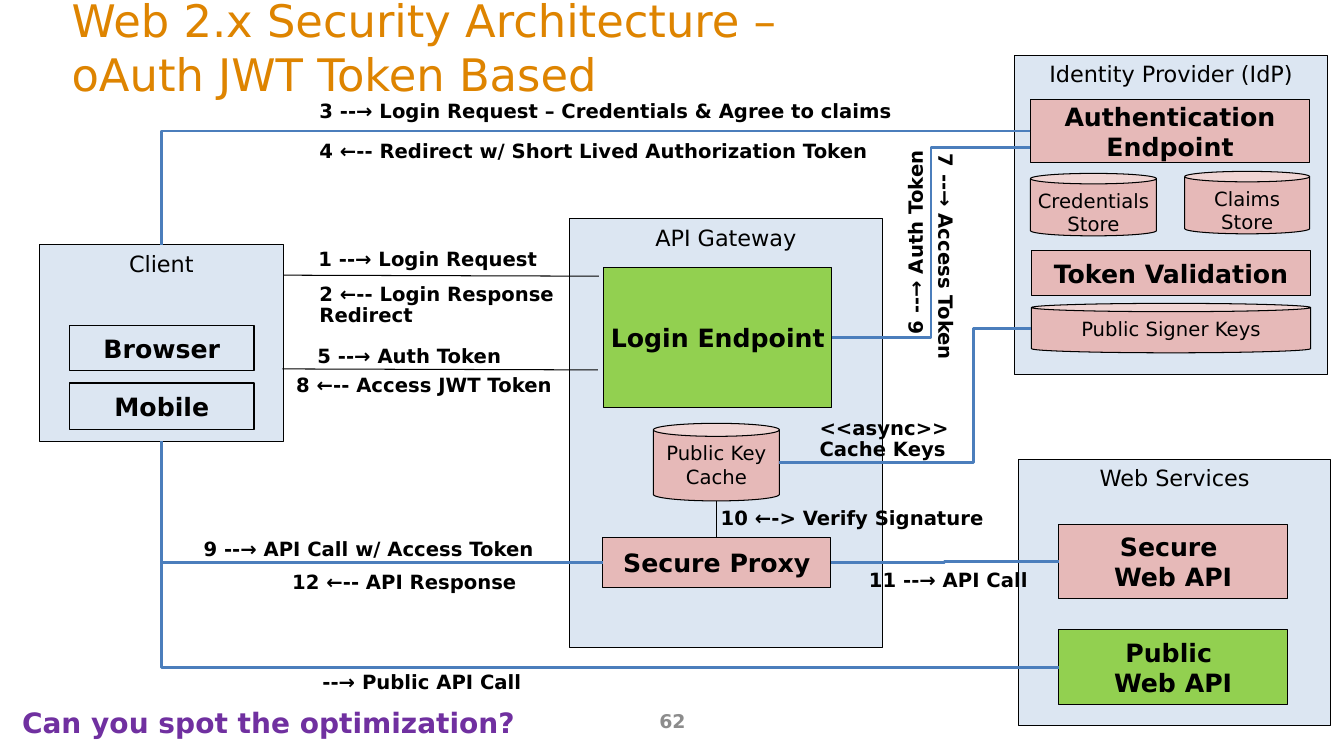
from dataclasses import dataclass

from lxml import etree
from pptx import Presentation
from pptx import util as u
from pptx.dml.color import RGBColor
from pptx.enum import shapes, text
from pptx.oxml import ns

PX = 9144  # 100 px to the inch
FONT = "DejaVu Sans"
BLACK = RGBColor(0x00, 0x00, 0x00)
ORANGE = RGBColor(0xDE, 0x84, 0x00)
PURPLE = RGBColor(0x70, 0x30, 0xA0)
GREY = RGBColor(0x8C, 0x8C, 0x8C)
PALE_BLUE = RGBColor(0xDC, 0xE6, 0xF2)
PINK = RGBColor(0xE6, 0xB9, 0xB8)
GREEN = RGBColor(0x92, 0xD0, 0x50)
LINK_BLUE = RGBColor(0x4B, 0x7E, 0xBC)

RECT = shapes.MSO_SHAPE.RECTANGLE
CAN = shapes.MSO_SHAPE.CAN
TOP, LEFT, BOTTOM, RIGHT = range(4)


@dataclass(frozen=True)
class Kind:
    form: shapes.MSO_SHAPE
    size: int
    bold: bool
    anchor: text.MSO_ANCHOR


ZONE = Kind(RECT, 16, False, text.MSO_ANCHOR.TOP)
PART = Kind(RECT, 18, True, text.MSO_ANCHOR.MIDDLE)
STORE = Kind(CAN, 14, False, text.MSO_ANCHOR.TOP)


@dataclass(frozen=True)
class Node:
    """A box; in wording, \\v breaks a line and \\n starts a paragraph."""
    wording: str
    kind: Kind
    fill: RGBColor
    at: tuple[int, int, int, int]


@dataclass(frozen=True)
class Label:
    wording: str
    at: tuple[int, int, int, int]
    turn: int = 0
    size: float = 14
    color: RGBColor = BLACK
    align: text.PP_ALIGN = text.PP_ALIGN.LEFT
    spacing: float = 0.9
    anchor: text.MSO_ANCHOR = text.MSO_ANCHOR.TOP


@dataclass(frozen=True)
class Link:
    """A connector; begin and end name a node and one of its sides."""
    points: tuple[int, int, int, int]
    preset: str = "line"
    begin: tuple[str, int] | None = None
    end: tuple[str, int] | None = None
    bend: int = 50000


NODES = {
    "gateway": Node("API Gateway", ZONE, PALE_BLUE, (565, 217, 310, 425)),
    "client": Node("Client", ZONE, PALE_BLUE, (39, 243, 242, 195)),
    "services": Node("Web Services", ZONE, PALE_BLUE, (1010, 456, 310, 264)),
    "provider": Node("Identity Provider (IdP)", ZONE, PALE_BLUE,
                     (1006, 55, 311, 317)),
    "browser": Node("Browser", PART, PALE_BLUE, (69, 323, 183, 45)),
    "mobile": Node("Mobile", PART, PALE_BLUE, (69, 380, 183, 46)),
    "login": Node("Login Endpoint", PART, GREEN, (599, 265, 226, 139)),
    "proxy": Node("Secure Proxy", PART, PINK, (598, 533, 226, 50)),
    "secure": Node("Secure \vWeb API", PART, PINK, (1050, 520, 227, 74)),
    "public": Node("Public \vWeb API", PART, GREEN, (1050, 625, 227, 74)),
    "authentication": Node("Authentication\vEndpoint", PART, PINK,
                           (1022, 99, 277, 62)),
    "validation": Node("Token Validation", PART, PINK, (1023, 249, 277, 44)),
    "cache": Node("Public Key\vCache", STORE, PINK, (648, 420, 125, 77)),
    "credentials": Node("Credentials\vStore", STORE, PINK,
                        (1022, 172, 125, 62)),
    "claims": Node("Claims\nStore", STORE, PINK, (1175, 170, 124, 62)),
    "keys": Node("Public Signer Keys", STORE, PINK, (1023, 301, 277, 49)),
}

LINKS = [
    Link((281, 273, 594, 274)),
    Link((280, 366, 593, 367)),
    Link((711, 533, 711, 497), begin=("proxy", TOP)),
    Link((1050, 662, 160, 438), "bentConnector2",
         ("public", LEFT), ("client", BOTTOM)),
    Link((1022, 130, 160, 243), "bentConnector2",
         ("authentication", LEFT), ("client", TOP)),
    Link((598, 558, 160, 438), "bentConnector2",
         ("proxy", LEFT), ("client", BOTTOM)),
    Link((824, 558, 1050, 557), "bentConnector3",
         ("proxy", RIGHT), ("secure", LEFT)),
    Link((825, 335, 1022, 146), "bentConnector3"),
    Link((773, 459, 1023, 326), "bentConnector3", bend=77100),
]

LABELS = [
    Label("1 --→ Login Request", (306, 243, 258, 31)),
    Label("2 ←-- Login Response\vRedirect", (307, 277, 258, 53)),
    Label("3 --→ Login Request – Credentials & Agree to claims",
          (307, 96, 594, 31)),
    Label("4 ←-- Redirect w/ Short Lived Authorization Token",
          (307, 136, 591, 31)),
    Label("5 --→ Auth Token", (305, 339, 258, 31)),
    Label("6 --→ Auth Token", (780, 197, 258, 31), turn=270),
    Label("7 --→ Access Token", (808, 256, 258, 31), turn=90),
    Label("8 ←-- Access JWT Token", (284, 368, 287, 31)),
    Label("9 --→ API Call w/ Access Token", (192, 530, 399, 31)),
    Label("10 ←-> Verify Signature", (705, 500, 291, 31)),
    Label("11 --→ API Call", (852, 561, 195, 31)),
    Label("12 ←-- API Response", (280, 563, 252, 31)),
    Label("--→ Public API Call", (310, 662, 226, 31)),
    Label("<<async>>\vCache Keys", (803, 410, 151, 53)),
    Label("Can you spot the optimization?", (12, 699, 1192, 40),
          size=20, color=PURPLE),
    Label("62", (456, 695, 422, 40), size=13.5, color=GREY,
          align=text.PP_ALIGN.CENTER, spacing=1.0,
          anchor=text.MSO_ANCHOR.MIDDLE),
]


def scaled(lengths: tuple[int, ...]) -> list[int]:
    return [length * PX for length in lengths]


def write(frame, wording: str, size: float, color: RGBColor, bold: bool,
          align: text.PP_ALIGN, spacing: float = 1.0) -> None:
    frame.text = wording
    for para in frame.paragraphs:
        para.alignment = align
        para.line_spacing = spacing
        para.font.name = FONT
        para.font.size = u.Pt(size)
        para.font.bold = bold
        para.font.color.rgb = color


def add_title(page) -> None:
    title = page.shapes.title
    title.left, title.top, title.width, title.height = scaled((61, 8, 1217, 76))
    frame = title.text_frame
    frame.auto_size = text.MSO_AUTO_SIZE.NONE
    frame.vertical_anchor = text.MSO_ANCHOR.MIDDLE
    write(frame, "Web 2.x Security Architecture – \voAuth JWT Token Based",
          32, ORANGE, False, text.PP_ALIGN.LEFT)


def add_node(page, node: Node):
    kind = node.kind
    box = page.shapes.add_shape(kind.form, *scaled(node.at))
    box.shadow.inherit = False
    if kind.form == CAN:
        box.adjustments[0] = 0.168
    box.fill.solid()
    box.fill.fore_color.rgb = node.fill
    box.line.color.rgb = BLACK
    box.line.width = u.Pt(0.75)
    box.text_frame.word_wrap = False
    box.text_frame.vertical_anchor = kind.anchor
    write(box.text_frame, node.wording, kind.size, BLACK, kind.bold,
          text.PP_ALIGN.CENTER)
    return box


def add_link(page, link: Link, boxes: dict) -> None:
    straight = link.preset == "line"
    form = shapes.MSO_CONNECTOR.STRAIGHT if straight else shapes.MSO_CONNECTOR.ELBOW
    line = page.shapes.add_connector(form, *scaled(link.points))
    if link.begin:
        line.begin_connect(boxes[link.begin[0]], link.begin[1])
    if link.end:
        line.end_connect(boxes[link.end[0]], link.end[1])
    line.line.color.rgb = BLACK if straight else LINK_BLUE
    line.line.width = u.Pt(0.75 if straight else 2)
    properties = line._element.spPr
    etree.SubElement(properties, ns.qn("a:effectLst"))
    geometry = properties.find(ns.qn("a:prstGeom"))
    geometry.set("prst", link.preset)
    if link.preset == "bentConnector3":
        guides = geometry.find(ns.qn("a:avLst"))
        etree.SubElement(guides, ns.qn("a:gd"), name="adj1",
                         fmla=f"val {link.bend}")


def add_label(page, label: Label) -> None:
    box = page.shapes.add_textbox(*scaled(label.at))
    box.rotation = label.turn
    frame = box.text_frame
    frame.word_wrap = True
    frame.auto_size = text.MSO_AUTO_SIZE.NONE
    frame.vertical_anchor = label.anchor
    write(frame, label.wording, label.size, label.color, True,
          label.align, label.spacing)


def main() -> None:
    deck = Presentation()
    deck.slide_width, deck.slide_height = scaled((1333, 750))
    page = deck.slides.add_slide(deck.slide_layouts.get_by_name("Title Only"))
    add_title(page)
    boxes = {name: add_node(page, node) for name, node in NODES.items()}
    for link in LINKS:
        add_link(page, link, boxes)
    for label in LABELS:
        add_label(page, label)
    deck.save("out.pptx")


if __name__ == "__main__":
    main()
